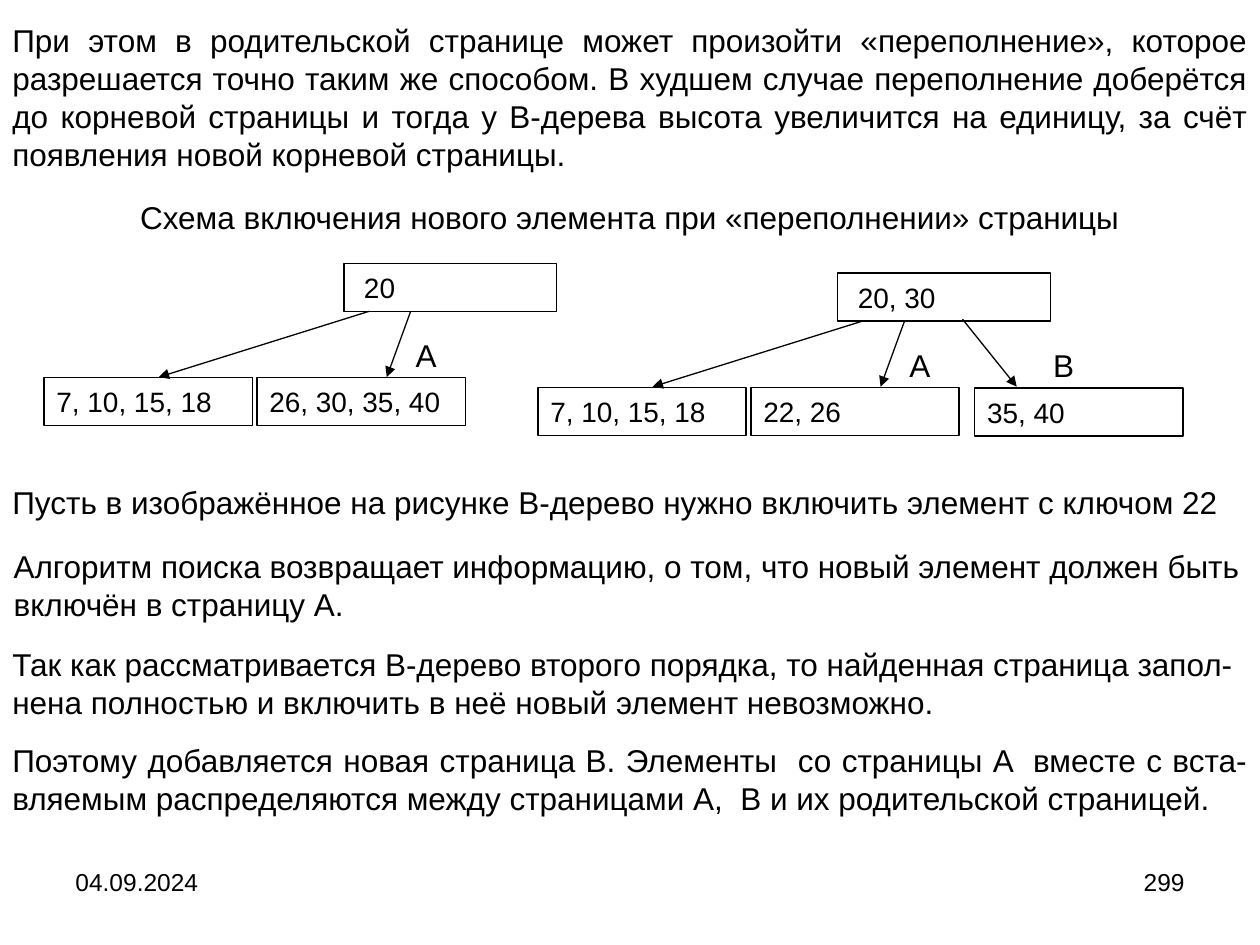
import pptx
import pptx.dml.color
import pptx.enum.shapes
import pptx.enum.text
import pptx.oxml.ns
import pptx.util
from lxml import etree

Pt = pptx.util.Pt
Align = pptx.enum.text.PP_ALIGN
Anchor = pptx.enum.text.MSO_ANCHOR
HUES = {"ink": "000000", "paper": "FFFFFF"}


class Board:
    """Hold the style and the current slide, and draw its elements."""

    font = "Arial"
    large, mid, small = 18, 16, 14
    pitch = 1.2
    line = 0.75

    def __init__(self, slide):
        self.slide = slide
        fill = slide.background.fill
        fill.solid()
        fill.fore_color.rgb = self.hue("paper")

    def hue(self, name):
        return pptx.dml.color.RGBColor.from_string(HUES[name])

    def label(self, frame, words, size, align):
        frame.word_wrap = True
        para = frame.paragraphs[0]
        para.alignment = align
        para.line_spacing = Pt(self.pitch * size)
        run = para.add_run()
        run.text = words
        run.font.name = self.font
        run.font.size = Pt(size)
        run.font.color.rgb = self.hue("ink")

    def text(self, words, x, y, w, h, align=Align.LEFT, size=large):
        box = self.slide.shapes.add_textbox(Pt(x), Pt(y), Pt(w), Pt(h))
        self.label(box.text_frame, words, size, align)

    def page(self, words, x, y, w=119, h=27.4):
        kind = pptx.enum.shapes.MSO_SHAPE.RECTANGLE
        box = self.slide.shapes.add_shape(kind, Pt(x), Pt(y), Pt(w), Pt(h))
        box.shadow.inherit = False
        box.fill.background()
        box.line.color.rgb = self.hue("ink")
        box.line.width = Pt(self.line)
        box.text_frame.vertical_anchor = Anchor.MIDDLE
        self.label(box.text_frame, words, self.mid, Align.LEFT)

    def arrow(self, x1, y1, x2, y2):
        kind = pptx.enum.shapes.MSO_CONNECTOR.STRAIGHT
        link = self.slide.shapes.add_connector(kind, Pt(x1), Pt(y1), Pt(x2), Pt(y2))
        link.line.color.rgb = self.hue("ink")
        link.line.width = Pt(self.line)
        qn = pptx.oxml.ns.qn
        props = link._element.spPr
        etree.SubElement(props.find(qn("a:ln")), qn("a:tailEnd"), type="triangle")
        etree.SubElement(props, qn("a:effectLst"))

    def tree(self, x, y, root, leaves):
        self.page(root, x + 171.3, y, w=121.7)
        for i, words in enumerate(leaves):
            self.page(words, x + 121.7 * i, y + 65.3)
        for start, end in ((185.8, 65.5), (209.5, 195.8)):
            self.arrow(x + start, y + 27.4, x + end, y + 65)
        self.text("A", x + 205.2, y + 38.2, 28.8, 28.8)


def main():
    deck = pptx.Presentation()
    deck.slide_width, deck.slide_height = Pt(720), Pt(540)
    board = Board(deck.slides.add_slide(deck.slide_layouts[6]))

    board.text("При этом в родительской странице может произойти «переполнение», "
               "которое разрешается точно таким же способом. В худшем случае "
               "переполнение доберётся до корневой страницы и тогда у В-дерева "
               "высота увеличится на единицу, за счёт появления новой корневой "
               "страницы.", 0, 8.6, 720, 93.6, Align.JUSTIFY)
    board.text("Схема включения нового элемента при «переполнении» страницы",
               62.6, 109.4, 594.7, 28.8, Align.CENTER)

    board.tree(25.2, 150.5, " 20", ("7, 10, 15, 18", "26, 30, 35, 40"))
    board.tree(307.4, 156, " 20, 30", ("7, 10, 15, 18", "22, 26"))
    board.page("35, 40", 557, 221.7)
    board.arrow(550, 182.4, 581, 221)
    board.text("B", 594.7, 194, 37.4, 28.8)

    board.text("Пусть в изображённое на рисунке B-дерево нужно включить элемент "
               "с ключом 22", 0, 272.2, 720, 28.8)
    board.text("Алгоритм поиска возвращает информацию, о том, что новый элемент "
               "должен быть включён в страницу A.", 0.7, 308.9, 720, 50.4)
    board.text("Так как рассматривается B-дерево второго порядка, то найденная "
               "страница запол-нена полностью и включить в неё новый элемент "
               "невозможно.", 0, 365, 720, 50.4)
    board.text("Поэтому добавляется новая страница B. Элементы  со страницы A  "
               "вместе с вста-вляемым распределяются между страницами A,  B и их "
               "родительской страницей.", 0, 419.8, 720, 50.4, Align.JUSTIFY)

    board.text("04.09.2024", 36, 491.8, 168, 37.4, size=board.small)
    board.text("299", 516, 491.8, 168, 37.4, Align.RIGHT, board.small)
    deck.save("out.pptx")


if __name__ == "__main__":
    main()
